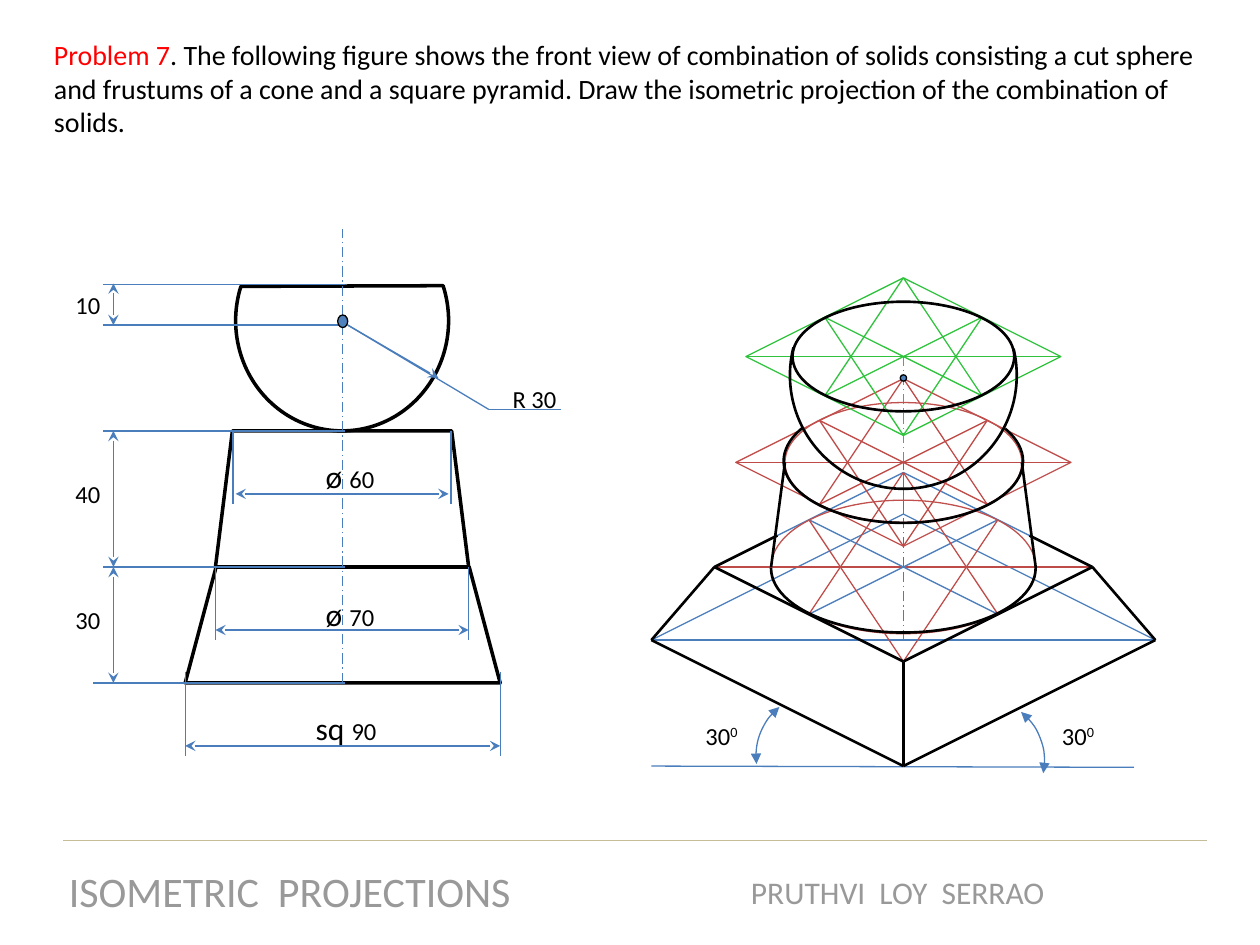
from dataclasses import dataclass
from lxml.etree import SubElement
from pptx import Presentation
from pptx.dml.color import RGBColor
from pptx.enum.dml import MSO_LINE_DASH_STYLE as Dash
from pptx.enum.shapes import MSO_CONNECTOR as Conn, MSO_SHAPE as Kind
from pptx.enum.text import PP_ALIGN as Align
from pptx.oxml.ns import qn
from pptx.util import Inches, Pt


@dataclass(frozen=True)
class Theme:
    font: str = "Calibri"
    ink: str = "000000"
    white: str = "FFFFFF"
    blue: str = "4A7DBB"
    dot: str = "4F81BD"
    red: str = "BE4B48"
    brick: str = "C0504D"
    green: str = "2FC33D"
    alert: str = "FF0000"
    rule: str = "C4BD97"
    gray: str = "999999"
    thin: float = 0.75
    bold: float = 1.5
    heavy: float = 2
    small: int = 14
    body: int = 16
    mid: int = 18
    big: int = 24


T = Theme()
MID = 7.17  # vertical axis of the isometric solids


def rgb(code):
    return RGBColor.from_string(code)


def pen(item, color, width, head=None, tail=None, dash=False):
    line = item.line
    line.color.rgb = rgb(color)
    line.width = Pt(width)
    if dash:
        line.dash_style = Dash.LONG_DASH_DOT
    for tag, tip in (("a:headEnd", head), ("a:tailEnd", tail)):
        if tip:
            SubElement(line._get_or_add_ln(), qn(tag), type=tip)


def wire(slide, points, color=T.blue, width=T.thin, **style):
    """Straight lines through the points, one after another."""
    for (x1, y1), (x2, y2) in zip(points, points[1:]):
        item = slide.shapes.add_connector(
            Conn.STRAIGHT, Inches(x1), Inches(y1), Inches(x2), Inches(y2))
        pen(item, color, width, **style)
        SubElement(item._element.spPr, qn("a:effectLst"))


def solid(slide, kind, box, color, width=T.thin, fill=None, adj=(), turn=0, **style):
    item = slide.shapes.add_shape(kind, *map(Inches, box))
    item.shadow.inherit = False
    item.rotation = turn
    for i, value in enumerate(adj):
        item.adjustments[i] = value
    if fill:
        item.fill.solid()
        item.fill.fore_color.rgb = rgb(fill)
    else:
        item.fill.background()
    pen(item, color, width, **style)


def sweep(start, end):
    """Angles in degrees as adjustment values."""
    return start * 0.6, end * 0.6


def arc(slide, box, start, end, color=T.ink, width=T.bold, **style):
    solid(slide, Kind.ARC, box, color, width, adj=sweep(start, end), **style)


def ring(slide, y, w, h, color, width=T.thin, **style):
    solid(slide, Kind.OVAL, (MID - w / 2, y - h / 2, w, h), color, width, **style)


def label(slide, box, *parts, wrap=True, align=Align.LEFT):
    """Each part is text, size, colour and, if raised, a baseline."""
    frame = slide.shapes.add_textbox(*map(Inches, box)).text_frame
    frame.word_wrap = wrap
    para = frame.paragraphs[0]
    para.alignment = align
    para.font.name = T.font
    for text, size, color, *base in parts:
        run = para.add_run()
        run.text = text
        run.font.size = Pt(size)
        run.font.color.rgb = rgb(color)
        if base:
            run._r.get_or_add_rPr().set("baseline", base[0])


def star(slide, y, a, color, cross):
    """Construction lines inside a rhombus of half width a."""
    m, n = a / 2, a / 4
    wire(slide, [(MID - a, y), (MID + a, y)], color)
    for s in (1, -1):
        wire(slide, [(MID - m, y + s * n), (MID + m, y - s * n)], cross)
        wire(slide, [(MID - m, y + s * n), (MID, y - s * m), (MID + m, y + s * n)], color)


def rhomb(slide, y, a, color):
    solid(slide, Kind.DIAMOND, (MID - a, y - a / 2, 2 * a, a), color)


def guides(slide):
    # Ground line and 30 degree angles
    wire(slide, [(5.17, 6.08), (9, 6.09)])
    tips = dict(color=T.blue, width=T.thin, head="triangle", tail="triangle")
    arc(slide, (7.29, 5.54, 1, 1), 270, 332.2, turn=39, **tips)
    arc(slide, (6, 5.5, 1, 1), 262.8, 321.1, turn=270, **tips)
    for x in (5.5, 8.33):
        label(slide, (x, 5.67, 0.47, 0.34), ("30", T.small, T.ink),
              ("0", T.small, T.ink, "30000"), wrap=False)

    # Pyramid base and the top of its frustum
    wire(slide, [(9.17, 5.08), (MID, 4.08), (5.17, 5.08), (9.17, 5.08)])
    wire(slide, [(MID, 3.75), (MID, 4.08)])
    wire(slide, [(5.67, 4.5), (MID, 3.75), (8.67, 4.5)])
    for start, end, color in ((5.08, 4.5, T.blue), (4.5, 3.67, T.red), (3.67, 2.83, T.green)):
        wire(slide, [(MID, start), (MID, end)], color, dash=True)
    star(slide, 4.5, 1.5, T.red, T.blue)
    ring(slide, 4.5, 2.1, 1.06, T.brick)

    # Cone top
    rhomb(slide, 3.67, 1.33, T.brick)
    star(slide, 3.67, 1.33, T.red, T.red)
    ring(slide, 3.67, 1.88, 0.95, T.brick)

    # Sphere cut
    rhomb(slide, 2.83, 1.25, T.green)
    star(slide, 2.83, 1.25, T.green, T.green)
    ring(slide, 3, 0.05, 0.05, T.ink, fill=T.dot)


def edges(slide):
    """Visible outline of the isometric solids."""
    ring(slide, 2.83, 1.76, 0.87, T.ink, T.bold)
    arc(slide, (6.27, 2.08, 1.8, 1.8), 346.4, 194.3)
    arc(slide, (6.12, 4, 2.1, 1.02), 359.5, 180.3)
    arc(slide, (6.22, 3.17, 1.9, 0.98), 342.3, 198.4)
    for s in (-1, 1):
        wire(slide, [(MID + s * 0.94, 3.67), (MID + s * 1.05, 4.5)], T.ink, T.bold)
        wire(slide, [(MID + s, 4.25), (MID + s * 1.5, 4.5), (MID + s * 2, 5.08),
                     (MID, 6.08)], T.ink, T.bold)
        wire(slide, [(MID + s * 1.5, 4.5), (MID, 5.25)], T.ink, T.bold)
    wire(slide, [(MID, 5.25), (MID, 6.08)], T.ink, T.bold)


def front(slide):
    # Solids
    body = dict(color=T.ink, width=T.heavy, fill=T.white)
    solid(slide, Kind.TRAPEZOID, (1.47, 4.5, 2.5, 0.92), adj=(0.267,), **body)
    solid(slide, Kind.TRAPEZOID, (1.71, 3.42, 2.01, 1.08), adj=(0.125,), **body)
    solid(slide, Kind.CHORD, (1.87, 1.67, 1.69, 1.75), adj=sweep(340.9, 198.7), **body)
    wire(slide, [(2.72, 5.42), (2.72, 1.82)], dash=True)

    # Extension lines
    for x, y in ((0.82, 2.26), (0.82, 2.58), (0.82, 3.42), (0.82, 4.5), (0.74, 5.42)):
        wire(slide, [(x, y), (2.74, y)])
    for left, right, top, end in ((1.85, 3.58, 3.42, 4), (1.71, 3.72, 4.5, 5.08),
                                  (1.47, 3.97, 5.33, 6)):
        for x in (left, right):
            wire(slide, [(x, top), (x, end)])

    # Dimensions
    tips = dict(head="stealth", tail="stealth")
    for top, end, y, text in ((2.25, 2.58, 2.25, "10"), (3.42, 4.5, 3.75, "40"),
                              (4.5, 5.42, 4.75, "30")):
        wire(slide, [(0.9, top), (0.9, end)], **tips)
        label(slide, (0.5, y, 0.62, 0.34), (text, T.small, T.ink))
    for left, right, y, x, top, sign, text in (
            (1.87, 3.56, 3.92, 2.43, 3.58, " ø ", "60"),
            (1.71, 3.72, 5, 2.43, 4.67, " ø ", "70"),
            (1.47, 3.97, 5.92, 2.35, 5.58, " sq ", "90")):
        wire(slide, [(left, y), (right, y)], **tips)
        label(slide, (x, top, 1, 0.4), (sign, T.mid, T.ink), (text, T.small, T.ink))

    # Radius leader
    wire(slide, [(2.76, 2.58), (3.88, 3.25), (4.45, 3.25)])
    wire(slide, [(2.76, 2.58), (3.48, 3)], tail="stealth")
    label(slide, (3.97, 3, 0.74, 0.34), ("R 30", T.small, T.ink))
    solid(slide, Kind.OVAL, (2.68, 2.5, 0.08, 0.1), T.ink, fill=T.dot)


def main():
    deck = Presentation()
    deck.slide_width, deck.slide_height = Inches(10), Inches(7.5)
    slide = deck.slides.add_slide(deck.slide_layouts[6])
    guides(slide)
    label(slide, (0.33, 0.25, 9.25, 0.91), ("Problem 7", T.body, T.alert),
          (". The following figure shows the front view of combination of solids "
           "consisting a cut sphere and frustums of a cone and a square pyramid. "
           "Draw the isometric projection of the combination of solids.", T.body, T.ink))
    front(slide)
    edges(slide)

    # Footer
    wire(slide, [(9.58, 6.67), (0.5, 6.67)], T.rule)
    for box, text, size in (((0.43, 6.82, 3.74, 0.5), "ISOMETRIC  PROJECTIONS", T.big),
                            ((5.85, 6.88, 2.55, 0.4), "PRUTHVI  LOY  SERRAO", T.mid)):
        label(slide, box, (text, size, T.gray), wrap=False, align=Align.CENTER)
    deck.save("out.pptx")


if __name__ == "__main__":
    main()
